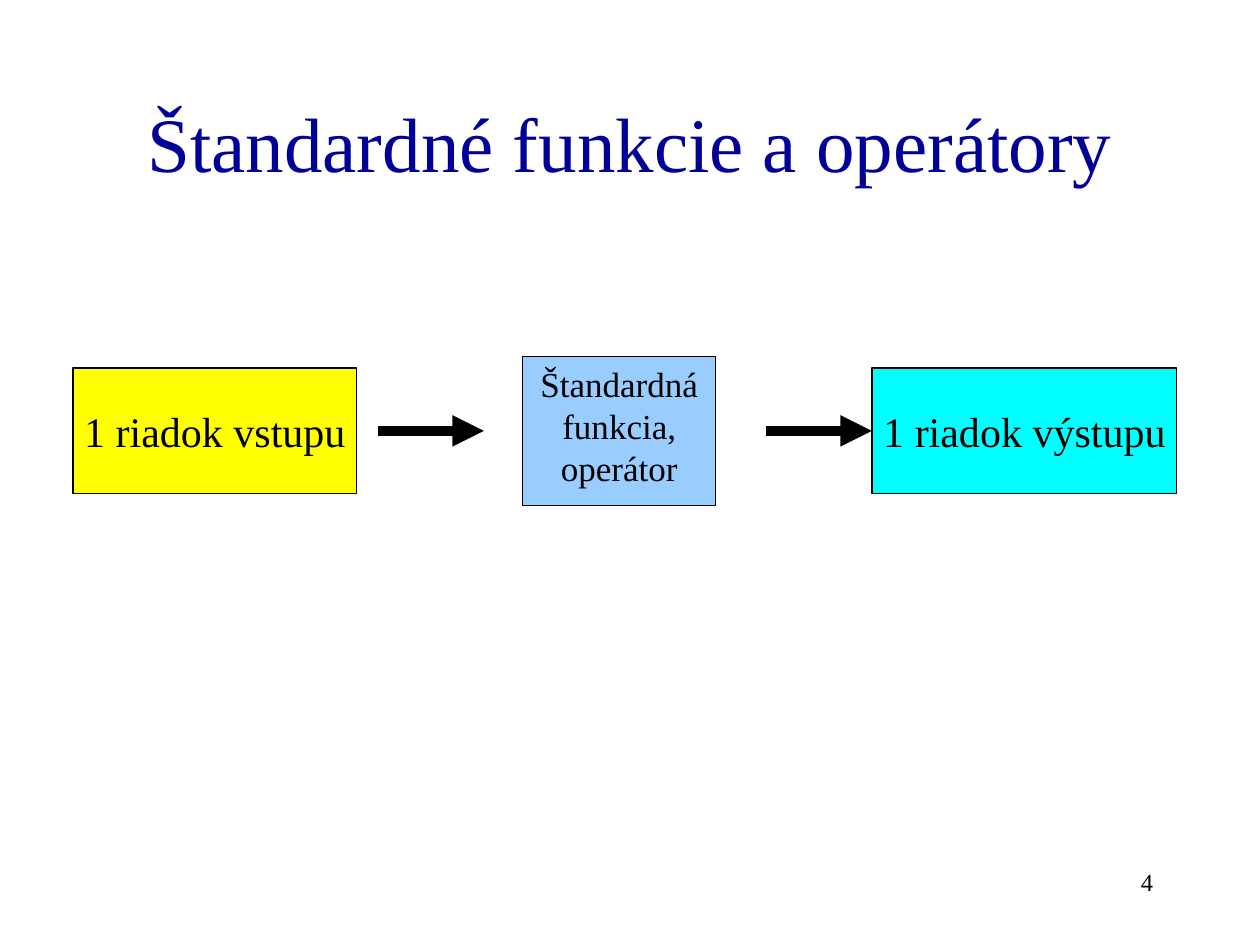
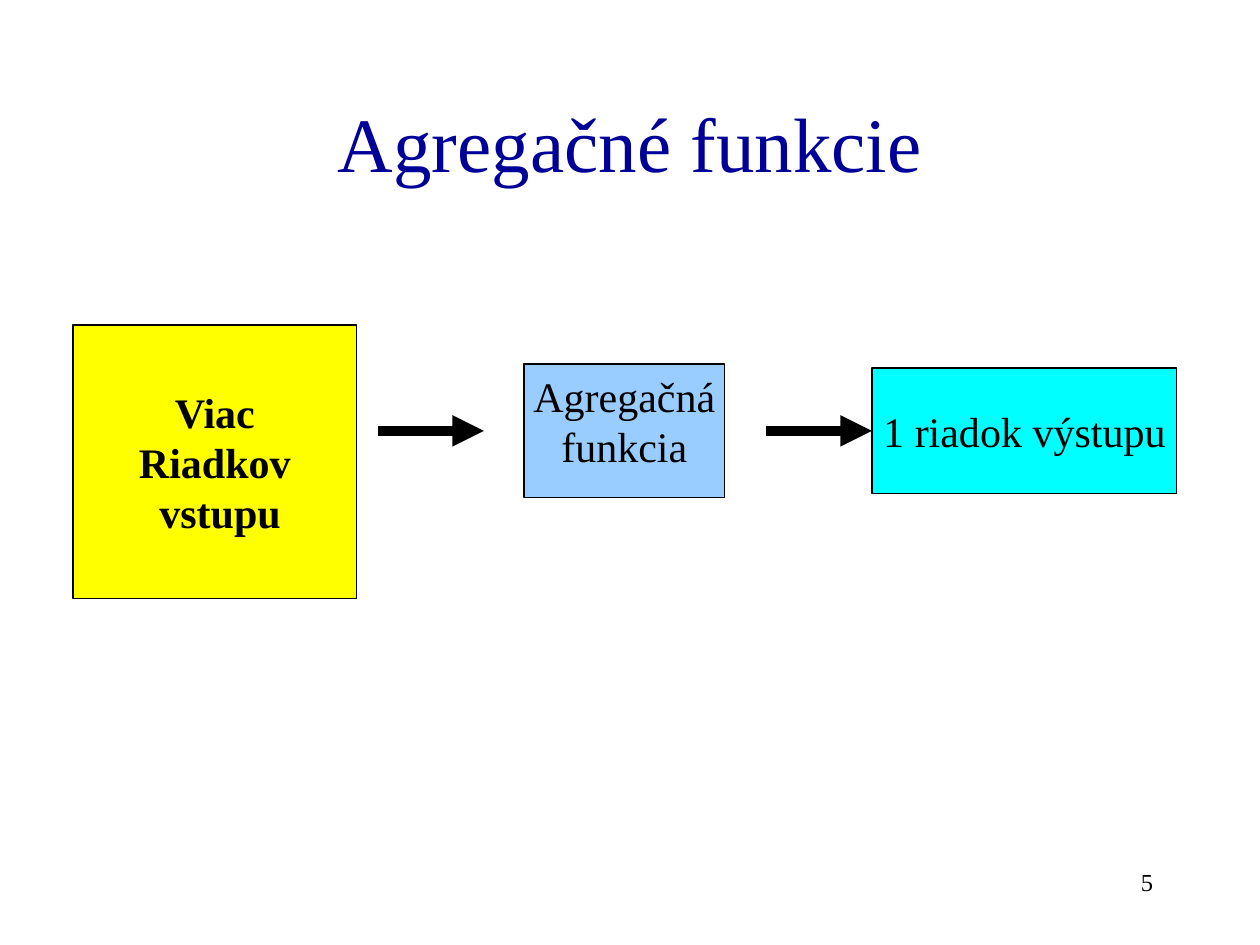
from dataclasses import dataclass

from lxml import etree
from pptx import Presentation
from pptx.dml.color import RGBColor
from pptx.enum.shapes import MSO_CONNECTOR, MSO_SHAPE
from pptx.enum.text import MSO_ANCHOR, PP_ALIGN
from pptx.oxml.ns import qn
from pptx.util import Inches, Pt

RECTANGLE, STRAIGHT = MSO_SHAPE.RECTANGLE, MSO_CONNECTOR.STRAIGHT
TOP, MIDDLE = MSO_ANCHOR.TOP, MSO_ANCHOR.MIDDLE
CENTER, RIGHT = PP_ALIGN.CENTER, PP_ALIGN.RIGHT
TITLE_ONLY = 5
FIRST_NUMBER = 4


@dataclass(frozen=True)
class Theme:
    font: str = "Times New Roman"
    ink: RGBColor = RGBColor(0, 0, 0)
    title: RGBColor = RGBColor(0x00, 0x00, 0x99)
    source: RGBColor = RGBColor(0xFF, 0xFF, 0x00)
    process: RGBColor = RGBColor(0x99, 0xCC, 0xFF)
    result: RGBColor = RGBColor(0x00, 0xFF, 0xFF)
    title_size: int = 44
    step_size: int = 24
    small_step_size: int = 20
    number_size: int = 14
    outline: float = 0.75
    arrow: float = 6


@dataclass(frozen=True)
class Step:
    """One box of the flow; it is centred on the flow axis unless top is given."""
    lines: tuple
    left: float
    width: float
    height: float
    fill: RGBColor
    size: int
    bold: bool = False
    top: float | None = None
    anchor: MSO_ANCHOR = MIDDLE
    wrap: bool = False
    side_inset: float = 0.1


THEME = Theme()
TITLE_BOX = (0.75, 0.5, 8.5, 1.25)
NUMBER_BOX = (7.17, 6.83, 2.08, 0.5)
FLOW_ORIGIN = (0.58, 2.58)
FLOW_AXIS = 0.84
ARROW_STARTS = (2.42, 5.5)
ARROW_LENGTH = 0.84


def process_step(lines, left, width, height, size):
    return Step(lines, left, width, height, THEME.process, size,
                anchor=TOP, wrap=True, side_inset=0)


RESULT = Step(("1 riadok výstupu",), 6.34, 2.42, 1, THEME.result, THEME.step_size)
SLIDES = (
    ("Štandardné funkcie a operátory", (
        Step(("1 riadok vstupu",), 0, 2.25, 1, THEME.source, THEME.step_size),
        process_step(("Štandardná", "funkcia,", "operátor"),
                     3.57, 1.53, 1.18, THEME.small_step_size),
        RESULT)),
    ("Agregačné funkcie", (
        Step(("Viac", "Riadkov", " vstupu"), 0, 2.25, 2.17, THEME.source,
             THEME.step_size, bold=True, top=0),
        process_step(("Agregačná", "funkcia"), 3.58, 1.59, 1.06, THEME.step_size),
        RESULT)),
)


def apply(target, **values):
    for name, value in values.items():
        setattr(target, name, value)


def style_paragraph(paragraph, size, color=THEME.ink, bold=False, align=CENTER):
    paragraph.alignment = align
    apply(paragraph.font, name=THEME.font, size=Pt(size), bold=bold)
    paragraph.font.color.rgb = color


def add_title(slide, text, box):
    title = slide.shapes.title
    apply(title, **dict(zip(("left", "top", "width", "height"), map(Inches, box))))
    title.text_frame.text = text
    title.text_frame.vertical_anchor = MIDDLE
    style_paragraph(title.text_frame.paragraphs[0], THEME.title_size, THEME.title)


def add_slide_number(slide, number, box):
    frame = slide.shapes.add_textbox(*map(Inches, box)).text_frame
    frame.word_wrap = True
    paragraph = frame.paragraphs[0]
    run = paragraph.add_run()
    run.text = str(number)
    style_paragraph(paragraph, THEME.number_size, align=RIGHT)
    apply(run.font, name=THEME.font, size=Pt(THEME.number_size))
    run.font.color.rgb = THEME.ink
    field = etree.Element(qn("a:fld"), type="slidenum",
                          id="{B6F15528-21DE-4FAA-801E-634DDDAF4B2B}")
    run._r.addprevious(field)
    field.extend(list(run._r))
    field.getparent().remove(run._r)


def add_step(slide, step, origin):
    left, top = origin
    step_top = FLOW_AXIS - step.height / 2 if step.top is None else step.top
    box = (left + step.left, top + step_top, step.width, step.height)
    shape = slide.shapes.add_shape(RECTANGLE, *map(Inches, box))
    shape.shadow.inherit = False
    shape.fill.solid()
    shape.fill.fore_color.rgb = step.fill
    shape.line.color.rgb = THEME.ink
    shape.line.width = Pt(THEME.outline)
    frame = shape.text_frame
    apply(frame, text="\n".join(step.lines), word_wrap=step.wrap,
          vertical_anchor=step.anchor, margin_left=Inches(step.side_inset),
          margin_right=Inches(step.side_inset))
    for paragraph in frame.paragraphs:
        style_paragraph(paragraph, step.size, bold=step.bold)


def add_arrow(slide, start, origin):
    left, top = origin
    x, y = left + start, top + FLOW_AXIS
    arrow = slide.shapes.add_connector(
        STRAIGHT, *map(Inches, (x, y, x + ARROW_LENGTH, y)))
    arrow.line.color.rgb = THEME.ink
    arrow.line.width = Pt(THEME.arrow)
    etree.SubElement(arrow.line._get_or_add_ln(), qn("a:tailEnd"), type="triangle")
    etree.SubElement(arrow._element.spPr, qn("a:effectLst"))


def add_flow(slide, steps, origin):
    for step in steps:
        add_step(slide, step, origin)
    for start in ARROW_STARTS:
        add_arrow(slide, start, origin)


def main():
    deck = Presentation()
    apply(deck, slide_width=Inches(10), slide_height=Inches(7.5))
    deck.element.set("firstSlideNum", str(FIRST_NUMBER))
    for number, (title, steps) in enumerate(SLIDES, FIRST_NUMBER):
        slide = deck.slides.add_slide(deck.slide_layouts[TITLE_ONLY])
        add_slide_number(slide, number, NUMBER_BOX)
        add_title(slide, title, TITLE_BOX)
        add_flow(slide, steps, FLOW_ORIGIN)
    deck.save("out.pptx")


if __name__ == "__main__":
    main()
